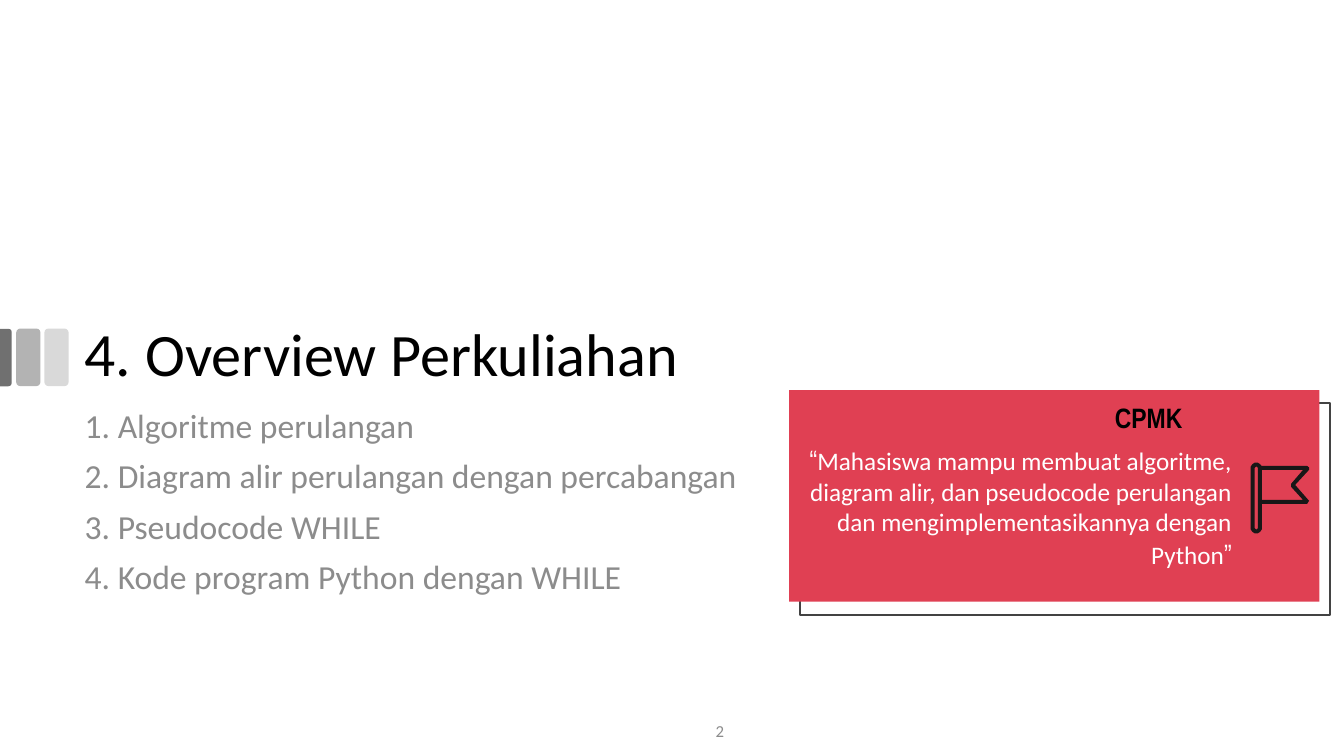
from math import cos, radians, sin

from pptx import Presentation
from pptx.dml.color import RGBColor
from pptx.enum import shapes, text
from pptx.oxml.ns import qn
from pptx.util import Cm, Pt

BLACK = RGBColor(0, 0, 0)
WHITE = RGBColor(255, 255, 255)
GREY = RGBColor(0x8C, 0x8C, 0x8C)
LIGHT = RGBColor(0xD9, 0xD9, 0xD9)
MID = RGBColor(0xB3, 0xB3, 0xB3)
DARK = RGBColor(0x70, 0x70, 0x70)
EDGE = RGBColor(0x43, 0x43, 0x43)
RED = RGBColor(0xE0, 0x40, 0x53)
INK = RGBColor(0x18, 0x17, 0x17)

SANS = "Calibri"
SLIM = "Arial Narrow"
KIND = shapes.MSO_SHAPE
ALIGN = text.PP_ALIGN
ANCHOR = text.MSO_ANCHOR

TOPICS = [
    "1. Algoritme perulangan",
    "2. Diagram alir perulangan dengan percabangan",
    "3. Pseudocode WHILE",
    "4. Kode program Python dengan WHILE",
]
GOAL = ("Mahasiswa mampu membuat algoritme, diagram alir, dan pseudocode "
        "perulangan dan mengimplementasikannya dengan Python")


def style(font, size, color, name=SANS, bold=False):
    font.size, font.name, font.bold = Pt(size), name, bold
    font.color.rgb = color


def place(shape, left, top, width, height):
    shape.left, shape.top = Cm(left), Cm(top)
    shape.width, shape.height = Cm(width), Cm(height)


def paint(shape, fill=None, line=None):
    shape.shadow.inherit = False
    if fill is None:
        shape.fill.background()
    else:
        shape.fill.solid()
        shape.fill.fore_color.rgb = fill
    if line is None:
        shape.line.fill.background()
    else:
        shape.line.color.rgb = line
        shape.line.width = Pt(1.5)


def block(slide, kind, box, fill=None, line=None):
    shape = slide.shapes.add_shape(kind, *map(Cm, box))
    paint(shape, fill, line)
    return shape


def label(slide, box, runs, align, anchor=ANCHOR.TOP):
    frame = slide.shapes.add_textbox(*map(Cm, box)).text_frame
    frame.word_wrap = True
    frame.vertical_anchor = anchor
    frame.margin_top = frame.margin_bottom = Cm(0.25)
    para = frame.paragraphs[0]
    para.alignment = align
    for words, *look in runs:
        run = para.add_run()
        run.text = words
        style(run.font, *look)


def heading(slide):
    title = slide.shapes.title
    place(title, 1.88, 7.42, 29.21, 2.54)
    frame = title.text_frame
    frame.auto_size = text.MSO_AUTO_SIZE.NONE
    frame.vertical_anchor = ANCHOR.BOTTOM
    para = frame.paragraphs[0]
    para.alignment = ALIGN.LEFT
    para.line_spacing = 0.9
    for words, size in (("4. ", 44), ("Overview Perkuliahan", 43)):
        run = para.add_run()
        run.text = words
        style(run.font, size, BLACK)


def topics(slide):
    body = slide.placeholders[1]
    place(body, 1.88, 10.19, 19.28, 5.51)
    frame = body.text_frame
    frame.auto_size = text.MSO_AUTO_SIZE.NONE
    frame.text = "\n".join(TOPICS)
    for para in frame.paragraphs:
        para.line_spacing = 0.9
        para.space_before = Pt(10)
        style(para.font, 24, GREY)
        props = para._p.get_or_add_pPr()
        props.set("marL", "0")
        props.set("indent", "0")
        bullet = props.makeelement(qn("a:buNone"), {})
        props.insert_element_before(bullet, "a:tabLst", "a:defRPr", "a:extLst")


def bars(slide):
    for step, color in enumerate((MID, LIGHT)):
        block(slide, KIND.ROUNDED_RECTANGLE,
              (0.41 + 0.71 * step, 8.28, 0.61, 1.45), color)
    stub = block(slide, KIND.ROUND_2_SAME_RECTANGLE,
                 (-0.58, 8.86, 1.45, 0.3), DARK)
    stub.rotation = 90
    stub.adjustments[0] = 0.29


def arc(x, y, radius, start, end):
    return [(x + radius * cos(radians(a)), y + radius * sin(radians(a)))
            for a in range(start, end + 1, 15)]


def flag(slide):
    outer = arc(14, 14, 14, 180, 330) + [
        (28, 8), (142, 8), (147, 12), (147, 18), (112, 56), (147, 96),
        (142, 104), (28, 104)] + arc(14, 164, 14, 0, 180)
    pole = arc(14, 14, 4, 180, 360) + arc(14, 164, 4, 0, 180)
    cloth = [(28, 18), (132, 18), (102, 53), (102, 61), (132, 94), (28, 94)]
    pen = slide.shapes.build_freeform(*outer[0], scale=Cm(0.01))
    pen.add_line_segments(outer[1:])
    for hole in (pole, cloth):
        pen.move_to(*hole[0])
        pen.add_line_segments(hole[1:])
    paint(pen.convert_to_shape(Cm(31.52), Cm(11.66)), INK)


def card(slide):
    block(slide, KIND.RECTANGLE, (20.17, 10.16, 13.36, 5.33), line=EDGE)
    block(slide, KIND.RECTANGLE, (19.89, 9.83, 13.36, 5.33), RED)
    quote = [("“", 20, WHITE, SLIM), (GOAL, 18, WHITE), ("”", 20, WHITE, SLIM)]
    label(slide, (19.89, 10.9, 11.4, 2.18), quote, ALIGN.RIGHT)
    label(slide, (21.13, 9.65, 8.92, 1.55),
          [("CPMK", 20, BLACK, SLIM, True)], ALIGN.RIGHT, ANCHOR.BOTTOM)
    flag(slide)


def main():
    deck = Presentation()
    deck.slide_width, deck.slide_height = Cm(33.87), Cm(19.05)
    slide = deck.slides.add_slide(deck.slide_layouts[1])
    bars(slide)
    heading(slide)
    topics(slide)
    label(slide, (14.33, 17.91, 7.62, 1.02), [("2", 12, GREY)],
          ALIGN.CENTER, ANCHOR.MIDDLE)
    card(slide)
    deck.save("out.pptx")


if __name__ == "__main__":
    main()
